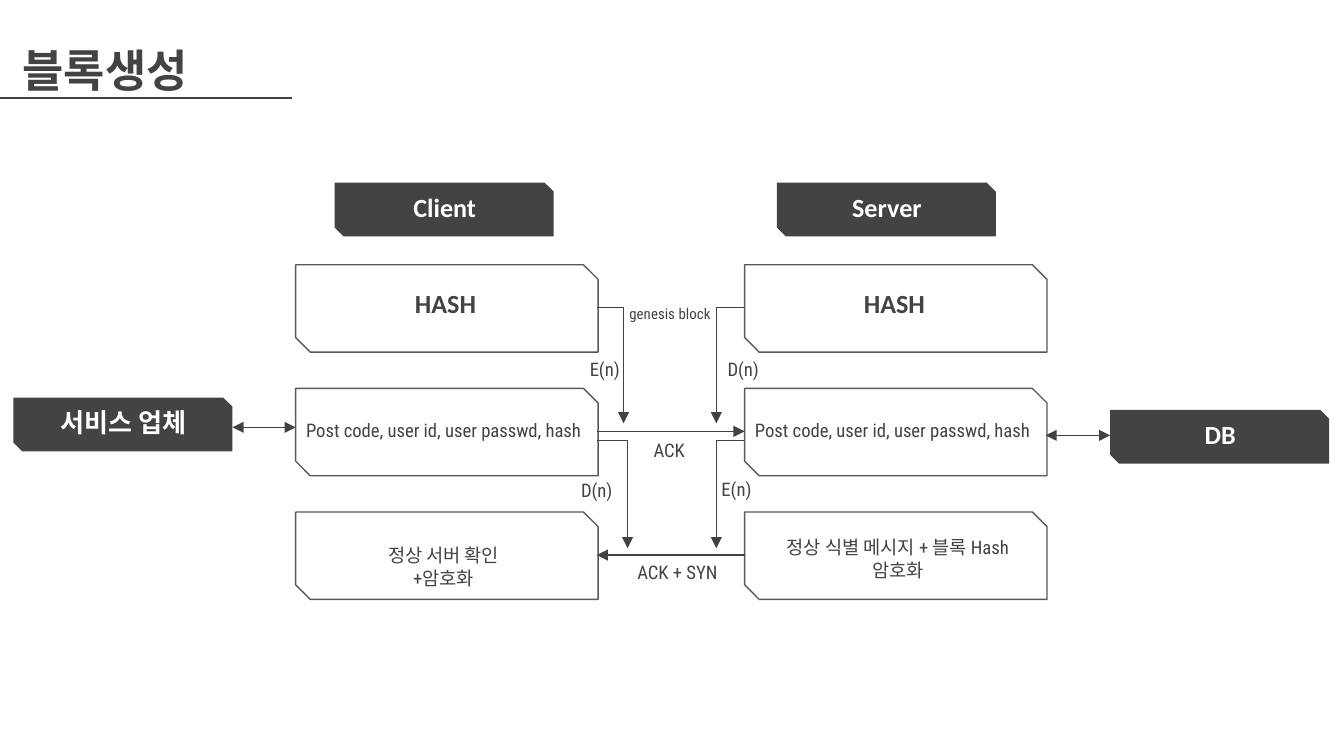
from lxml import etree
from pptx import Presentation
from pptx.dml.color import RGBColor
from pptx.enum.shapes import MSO_CONNECTOR, MSO_SHAPE
from pptx.enum.text import MSO_ANCHOR, PP_ALIGN
from pptx.oxml.ns import qn
from pptx.util import Inches, Pt

STRAIGHT, ELBOW = MSO_CONNECTOR.STRAIGHT, MSO_CONNECTOR.ELBOW
SNIPPED = MSO_SHAPE.SNIP_2_DIAG_RECTANGLE
LEFT, CENTER = PP_ALIGN.LEFT, PP_ALIGN.CENTER
TOP, BOTTOM = MSO_ANCHOR.TOP, MSO_ANCHOR.BOTTOM

COLORS = {"dark": "434343", "outline": "595959", "arrow": "424242", "white": "FFFFFF"}
HEADING, BODY = "Calibri", "Roboto Condensed"


def rgb(name):
    return RGBColor.from_string(COLORS[name])


class Diagram:
    """Holds the style and the current slide."""

    line_width = Pt(0.75)
    inset = Inches(0.1)

    def __init__(self, slide):
        self.shapes = slide.shapes

    def text(self, words, x, y, w, h, size=10, font=BODY, color="dark",
             bold=False, align=CENTER, anchor=TOP):
        box = self.shapes.add_textbox(Inches(x), Inches(y), Inches(w), Inches(h))
        frame = box.text_frame
        frame.word_wrap = True
        frame.vertical_anchor = anchor
        frame.margin_left = frame.margin_right = self.inset
        frame.margin_top = frame.margin_bottom = self.inset
        paragraph = frame.paragraphs[0]
        paragraph.alignment = align
        run = paragraph.add_run()
        run.text = words
        run.font.size = Pt(size)
        run.font.name = font
        run.font.bold = bold
        run.font.color.rgb = rgb(color)

    def heading(self, words, x, y, w, h, color="dark"):
        self.text(words, x, y, w, h, 14, HEADING, color, True, CENTER, BOTTOM)

    def snipped(self, x, y, w, h):
        shape = self.shapes.add_shape(SNIPPED, Inches(x), Inches(y), Inches(w), Inches(h))
        shape.shadow.inherit = False
        shape.adjustments[0] = 0
        shape.adjustments[1] = 0.167
        return shape

    def box(self, x, y):
        shape = self.snipped(x, y, BOX_W, BOX_H)
        shape.fill.background()
        shape.line.color.rgb = rgb("outline")
        shape.line.width = self.line_width

    def badge(self, words, x, y):
        shape = self.snipped(x, y, 1.63, 0.4)
        shape.fill.solid()
        shape.fill.fore_color.rgb = rgb("dark")
        shape.line.fill.background()
        self.heading(words, x + 0.04, y - 0.03, 1.56, 0.43, "white")

    def line(self, x1, y1, x2, y2, kind=STRAIGHT, color="arrow", ends=("tailEnd",)):
        connector = self.shapes.add_connector(
            kind, Inches(x1), Inches(y1), Inches(x2), Inches(y2))
        connector.line.color.rgb = rgb(color)
        connector.line.width = self.line_width
        outline = connector.line._get_or_add_ln()
        for end in ends:
            etree.SubElement(outline, qn("a:" + end), type="triangle")
        properties = connector._element.spPr
        etree.SubElement(properties, qn("a:effectLst"))
        return properties

    def elbow(self, x1, y1, x2, y2):
        # One bend: across first, then down
        properties = self.line(x1, y1, x2, y2, ELBOW)
        properties.find(qn("a:prstGeom")).set("prst", "bentConnector2")


BOX_W, BOX_H = 2.25, 0.65
CLIENT_X, SERVER_X = 2.2, 5.54
CLIENT_EDGE = 4.44
ROWS = [1.97 + 0.92 * row for row in range(3)]
HASH_Y, CODE_Y, REPLY_Y = ROWS

# Wide 16:9 slide
prs = Presentation()
prs.slide_width = Inches(10)
prs.slide_height = prs.slide_width * 9 // 16
diagram = Diagram(prs.slides.add_slide(prs.slide_layouts[6]))

# Title and its rule
diagram.text("블록생성", 0.07, 0.22, 4.65, 0.56, 24, HEADING, bold=True, align=LEFT)
diagram.line(-0.01, 0.73, 2.17, 0.73, color="dark", ends=())

# Client and server columns
for column_x in (CLIENT_X, SERVER_X):
    for row_y in ROWS:
        diagram.box(column_x, row_y)
    diagram.heading("HASH", column_x + 0.47, HASH_Y + 0.19, 1.29, 0.31)
    diagram.text("Post code, user id, user passwd, hash ",
                 column_x - 0.21, CODE_Y + 0.14, 2.65, 0.36)
diagram.text("정상 서버 확인 +암호화", 2.58, REPLY_Y + 0.14, 1.44, 0.46)
diagram.text("정상 식별 메시지 + 블록 Hash 암호화", 5.72, REPLY_Y + 0.08, 1.92, 0.49)

# Dark badges
for name, x, y in (("Client", 2.49, 1.36), ("Server", 5.78, 1.36),
                   ("DB", 8.26, 3.05), ("서비스 업체", 0.1, 2.96)):
    diagram.badge(name, x, y)

# Messages between client and server
diagram.line(CLIENT_EDGE, 3.21, SERVER_X, 3.21)
diagram.line(SERVER_X, 4.13, CLIENT_EDGE, 4.13)

# Encryption and decryption steps
for start_x, start_y, end_x, end_y in ((CLIENT_EDGE, 2.29, 4.64, 3.15),
                                       (SERVER_X, 2.29, 5.33, 3.15),
                                       (CLIENT_EDGE, 3.28, 4.67, 4.08),
                                       (SERVER_X, 3.28, 5.33, 4.08)):
    diagram.elbow(start_x, start_y, end_x, end_y)

# Two-way links to the outer badges
for start_x, end_x, y in ((1.73, CLIENT_X, 3.18), (7.78, 8.26, 3.24)):
    diagram.line(start_x, y, end_x, y, ends=("headEnd", "tailEnd"))

# Arrow labels
for label, x, y, width in (("E(n)", 4.25, 2.58, 0.5), ("D(n)", 5.28, 2.58, 0.5),
                           ("D(n)", 4.19, 3.48, 0.5), ("E(n)", 5.23, 3.47, 0.5),
                           ("ACK", 4.73, 3.18, 0.5), ("ACK + SYN", 4.64, 4.09, 0.8)):
    diagram.text(label, x, y, width, 0.36)
diagram.text("genesis block", CLIENT_EDGE, 2.2, 1.09, 0.31, size=8)

prs.save("out.pptx")
